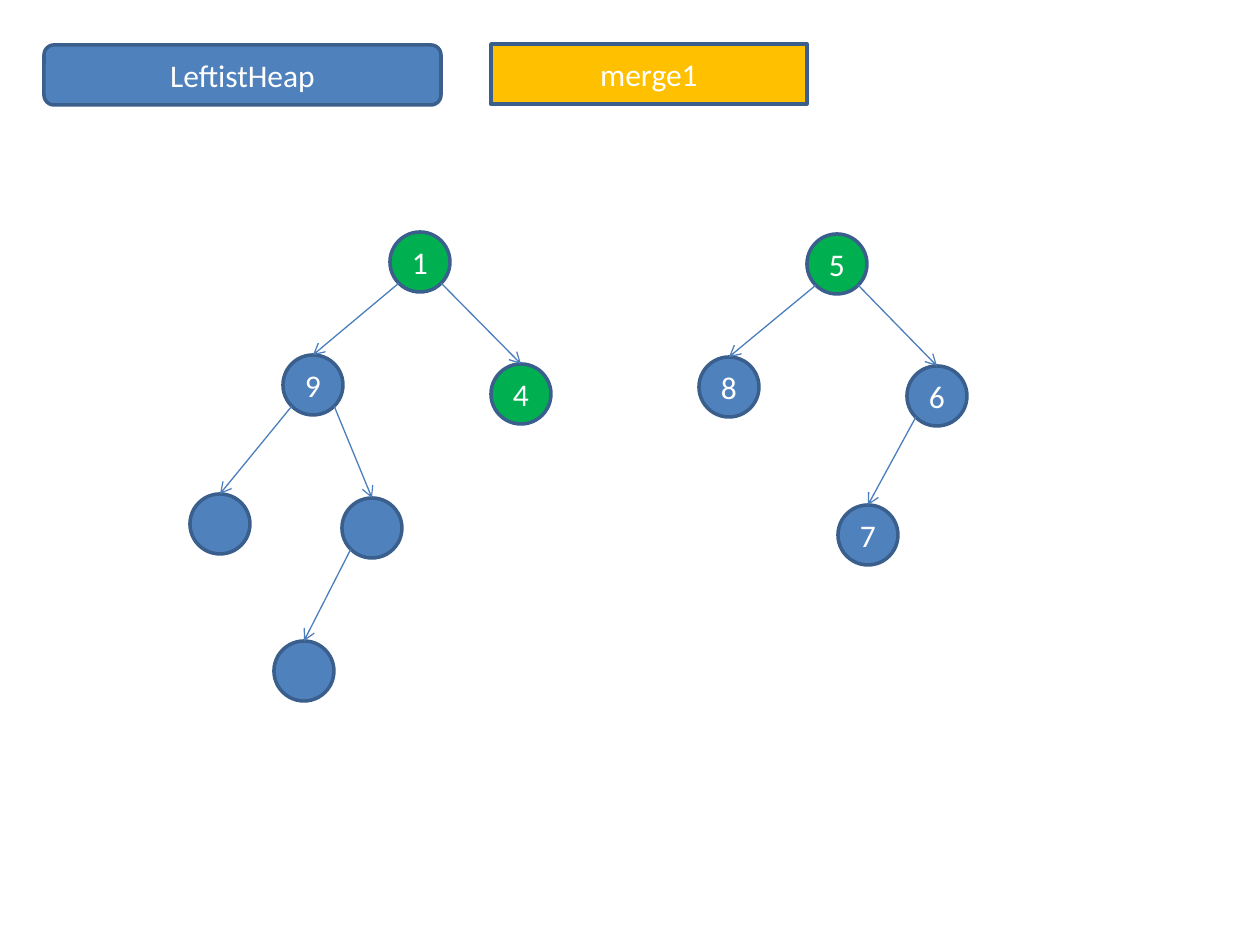
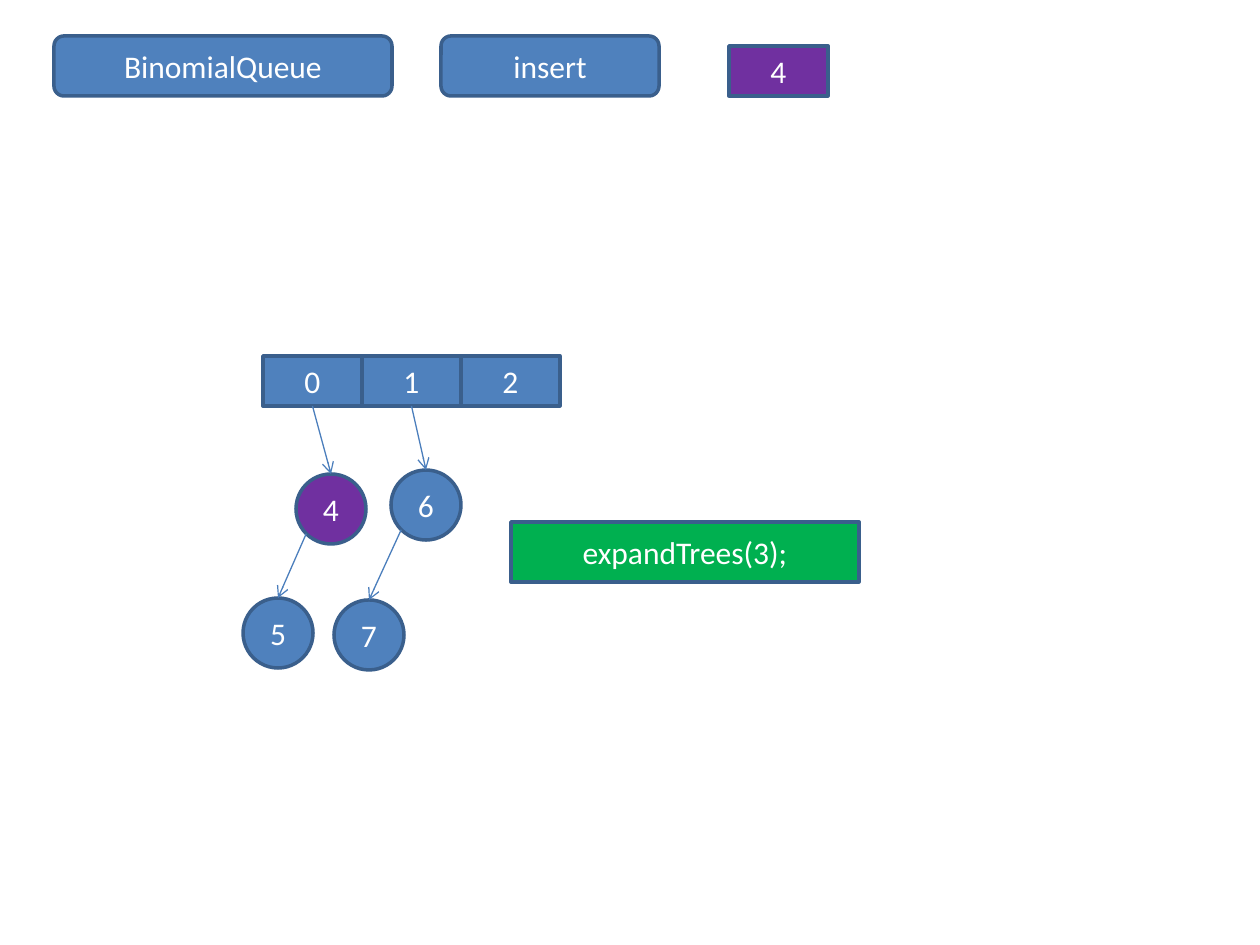
import math

from lxml import etree
from pptx import Presentation
from pptx import util as u
from pptx.dml.color import RGBColor
from pptx.enum import shapes, text
from pptx.oxml.ns import qn

PX = 914400 / 126
BLUE = RGBColor(0x4F, 0x81, 0xBD)
OUTLINE = RGBColor(0x3A, 0x5F, 0x8C)
ARROW = RGBColor(0x4B, 0x7E, 0xBC)
GREEN = RGBColor(0x00, 0xB0, 0x50)
PURPLE = RGBColor(0x70, 0x30, 0xA0)
AMBER = RGBColor(0xFF, 0xC0, 0x00)
WHITE = RGBColor(0xFF, 0xFF, 0xFF)
FONT = "Calibri"
RECT = shapes.MSO_SHAPE.RECTANGLE
ROUND = shapes.MSO_SHAPE.ROUNDED_RECTANGLE
OVAL = shapes.MSO_SHAPE.OVAL
TOP, BOTTOM = 0, 2


def px(n):
    return u.Emu(round(n * PX))


def add_box(s, kind, label, x, y, w, h, fill=BLUE):
    sp = s.shapes.add_shape(kind, px(x), px(y), px(w), px(h))
    sp.shadow.inherit = False
    sp.fill.solid()
    sp.fill.fore_color.rgb = fill
    sp.line.color.rgb = OUTLINE
    sp.line.width = u.Pt(2)
    if label:
        tf = sp.text_frame
        tf.text = label
        tf.margin_left = tf.margin_right = 0
        tf.vertical_anchor = text.MSO_ANCHOR.MIDDLE
        p = tf.paragraphs[0]
        p.alignment = text.PP_ALIGN.CENTER
        p.font.name = FONT
        p.font.size = u.Pt(18)
        p.font.color.rgb = WHITE
    return sp


def add_node(s, label, center_x, top, size, fill=BLUE):
    return add_box(s, OVAL, label, center_x - size // 2, top, size, size, fill)


def add_arrow(s, x, y, target):
    cx = s.shapes.add_connector(shapes.MSO_CONNECTOR.STRAIGHT, x, y, x, y)
    cx.end_connect(target, TOP)
    cx.line.color.rgb = ARROW
    cx.line.width = u.Pt(0.75)
    etree.SubElement(cx.line._get_or_add_ln(), qn("a:tailEnd"), type="arrow")
    etree.SubElement(cx._element.spPr, qn("a:effectLst"))
    return cx


def link_nodes(s, parent, child):
    radius = parent.width / 2
    mid_x = parent.left + radius
    mid_y = parent.top + radius
    side = 1 if child.left > parent.left else -1
    reach = radius * math.sqrt(0.5)
    add_arrow(s, round(mid_x + side * reach), round(mid_y + reach), child)


def link_cell(s, cell, node):
    cx = add_arrow(s, cell.left, cell.top, node)
    cx.begin_connect(cell, BOTTOM)


def add_tree(s, size, nodes, links):
    ovals = [add_node(s, label, x, y, size, fill) for label, x, y, fill in nodes]
    for parent, child in links:
        link_nodes(s, ovals[parent], ovals[child])
    return ovals


def add_leftist_heap(s):
    add_box(s, ROUND, "LeftistHeap", 44, 45, 397, 60)
    add_box(s, RECT, "merge1", 491, 44, 316, 60, AMBER)
    add_tree(s, 60, [
        ("1", 420, 232, GREEN),
        ("9", 313, 355, BLUE),
        ("4", 521, 364, GREEN),
        ("", 220, 494, BLUE),
        ("", 372, 498, BLUE),
        ("", 304, 641, BLUE),
    ], [(0, 1), (0, 2), (1, 3), (1, 4), (4, 5)])
    add_tree(s, 60, [
        ("5", 837, 234, GREEN),
        ("8", 729, 357, BLUE),
        ("6", 937, 366, BLUE),
        ("7", 868, 505, BLUE),
    ], [(0, 1), (0, 2), (2, 3)])


def add_binomial_queue(s):
    add_box(s, ROUND, "BinomialQueue", 54, 36, 338, 60)
    add_box(s, ROUND, "insert", 441, 36, 218, 60)
    add_box(s, RECT, "4", 729, 46, 99, 50, PURPLE)
    cells = [add_box(s, RECT, str(i), 263 + 99 * i, 356, 99, 50) for i in range(3)]
    trees = [
        [("4", 331, 474, PURPLE), ("5", 278, 598, BLUE)],
        [("6", 426, 470, BLUE), ("7", 369, 600, BLUE)],
    ]
    for cell, nodes in zip(cells, trees):
        root = add_tree(s, 70, nodes, [(0, 1)])[0]
        link_cell(s, cell, root)
    add_box(s, RECT, "expandTrees(3);", 511, 522, 348, 60, GREEN)


def main():
    prs = Presentation()
    prs.slide_width = px(1260)
    prs.slide_height = px(945)
    for build in (add_leftist_heap, add_binomial_queue):
        build(prs.slides.add_slide(prs.slide_layouts[6]))
    prs.save("out.pptx")


if __name__ == "__main__":
    main()
